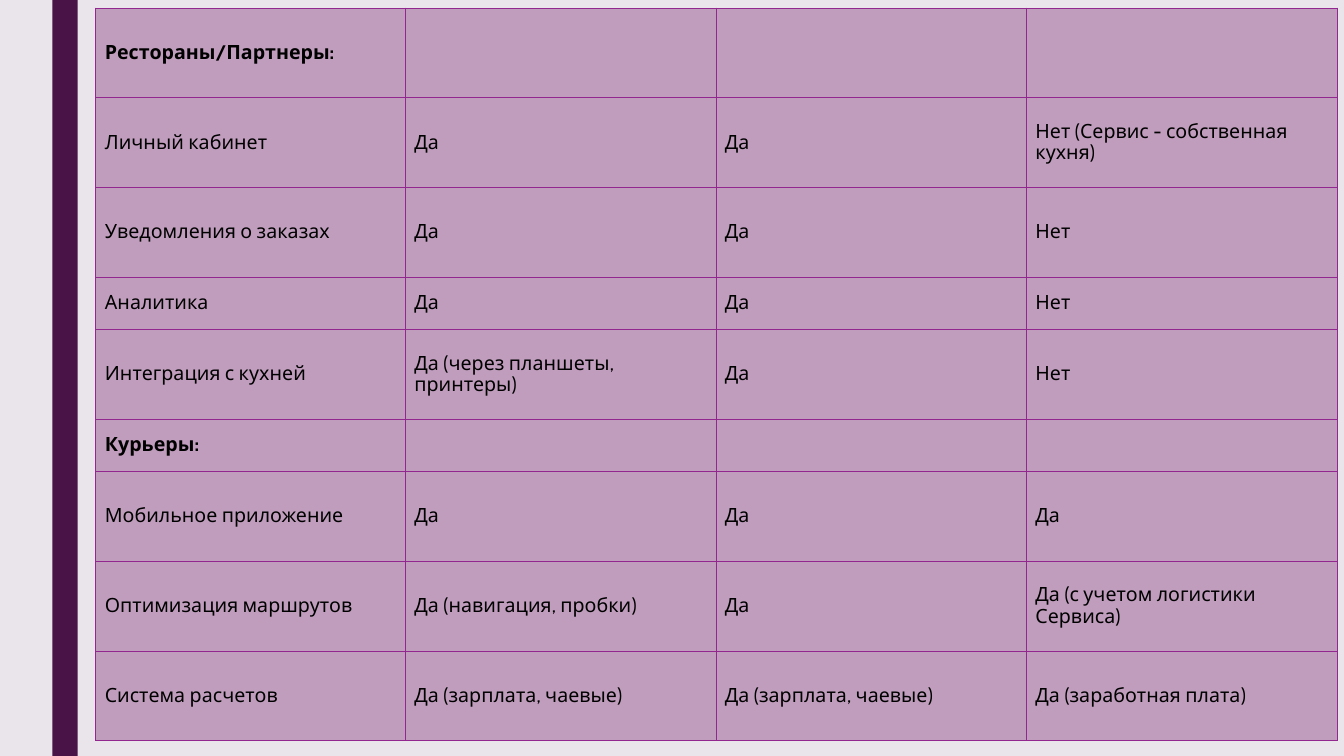
from dataclasses import dataclass

from lxml.etree import SubElement
from pptx import Presentation
from pptx.dml.color import RGBColor
from pptx.enum.shapes import MSO_SHAPE
from pptx.enum.text import MSO_ANCHOR
from pptx.oxml.ns import qn
from pptx.table import _Cell
from pptx.util import Emu, Pt

PX = 9144  # 100 px to the inch


@dataclass(frozen=True)
class Theme:
    background: str = "EAE5EB"
    stripe: str = "491347"
    cell: str = "C09DBD"
    border: str = "92278F"
    text: str = "000000"
    font: str = "Cabin"
    text_size: float = 14
    border_width: float = 0.5
    line_spacing: float = 0.9


@dataclass(frozen=True)
class Row:
    texts: tuple[str, ...]
    height: int = 89
    bold: bool = False


THEME = Theme()
SHORT = 52
COLUMN_WIDTHS = (307, 308, 308, 308)
ROWS = (
    Row(("Рестораны/Партнеры:", "", "", ""), bold=True),
    Row(("Личный кабинет", "Да", "Да", "Нет (Сервис - собственная кухня)")),
    Row(("Уведомления о заказах", "Да", "Да", "Нет")),
    Row(("Аналитика", "Да", "Да", "Нет"), SHORT),
    Row(("Интеграция с кухней", "Да (через планшеты, принтеры)", "Да", "Нет")),
    Row(("Курьеры:", "", "", ""), SHORT, bold=True),
    Row(("Мобильное приложение", "Да", "Да", "Да")),
    Row(("Оптимизация маршрутов", "Да (навигация, пробки)", "Да",
         "Да (с учетом логистики Сервиса)")),
    Row(("Система расчетов", "Да (зарплата, чаевые)", "Да (зарплата, чаевые)",
         "Да (заработная плата)")),
)
CELL_FORMAT = {
    "vertical_anchor": MSO_ANCHOR.MIDDLE,
    "margin_left": Emu(9 * PX),
    "margin_right": Emu(9 * PX),
    "margin_top": Emu(4 * PX),
    "margin_bottom": Emu(4 * PX),
}


def px(length: int) -> Emu:
    return Emu(length * PX)


def paint(fill, colour: str) -> None:
    fill.solid()
    fill.fore_color.rgb = RGBColor.from_string(colour)


def add_borders(cell: _Cell) -> None:
    properties = cell._tc.get_or_add_tcPr()
    for position, side in enumerate(("a:lnL", "a:lnR", "a:lnT", "a:lnB")):
        line = SubElement(properties, qn(side), w=str(Pt(THEME.border_width)))
        fill = SubElement(line, qn("a:solidFill"))
        SubElement(fill, qn("a:srgbClr"), val=THEME.border)
        properties.insert(position, line)  # borders come before the cell fill


def write_cell(cell: _Cell, text: str, bold: bool) -> None:
    for name, value in CELL_FORMAT.items():
        setattr(cell, name, value)
    paint(cell.fill, THEME.cell)
    add_borders(cell)
    para = cell.text_frame.paragraphs[0]
    para.line_spacing = THEME.line_spacing
    if text:
        span = para.add_run()
        span.text = text
        font_format = {"name": THEME.font, "size": Pt(THEME.text_size), "bold": bold}
        for name, value in font_format.items():
            setattr(span.font, name, value)
        span.font.color.rgb = RGBColor.from_string(THEME.text)


def add_stripe(page) -> None:
    stripe = page.shapes.add_shape(MSO_SHAPE.RECTANGLE, px(52), 0, px(25), px(750))
    stripe.shadow.inherit = False
    paint(stripe.fill, THEME.stripe)
    stripe.line.fill.background()


def add_comparison(page) -> None:
    table = page.shapes.add_table(
        len(ROWS), len(COLUMN_WIDTHS), px(95), px(8),
        px(sum(COLUMN_WIDTHS)), px(sum(row.height for row in ROWS)),
    ).table
    table.first_row = table.horz_banding = False
    for column, width in zip(table.columns, COLUMN_WIDTHS):
        column.width = px(width)
    for table_row, row in zip(table.rows, ROWS):
        table_row.height = px(row.height)
        for cell, text in zip(table_row.cells, row.texts):
            write_cell(cell, text, row.bold)


def main() -> None:
    deck = Presentation()
    deck.slide_width, deck.slide_height = px(1333), px(750)
    page = deck.slides.add_slide(deck.slide_layouts.get_by_name("Blank"))
    paint(page.background.fill, THEME.background)
    # Side stripe, then the comparison of services
    add_stripe(page)
    add_comparison(page)
    deck.save("out.pptx")


if __name__ == "__main__":
    main()
